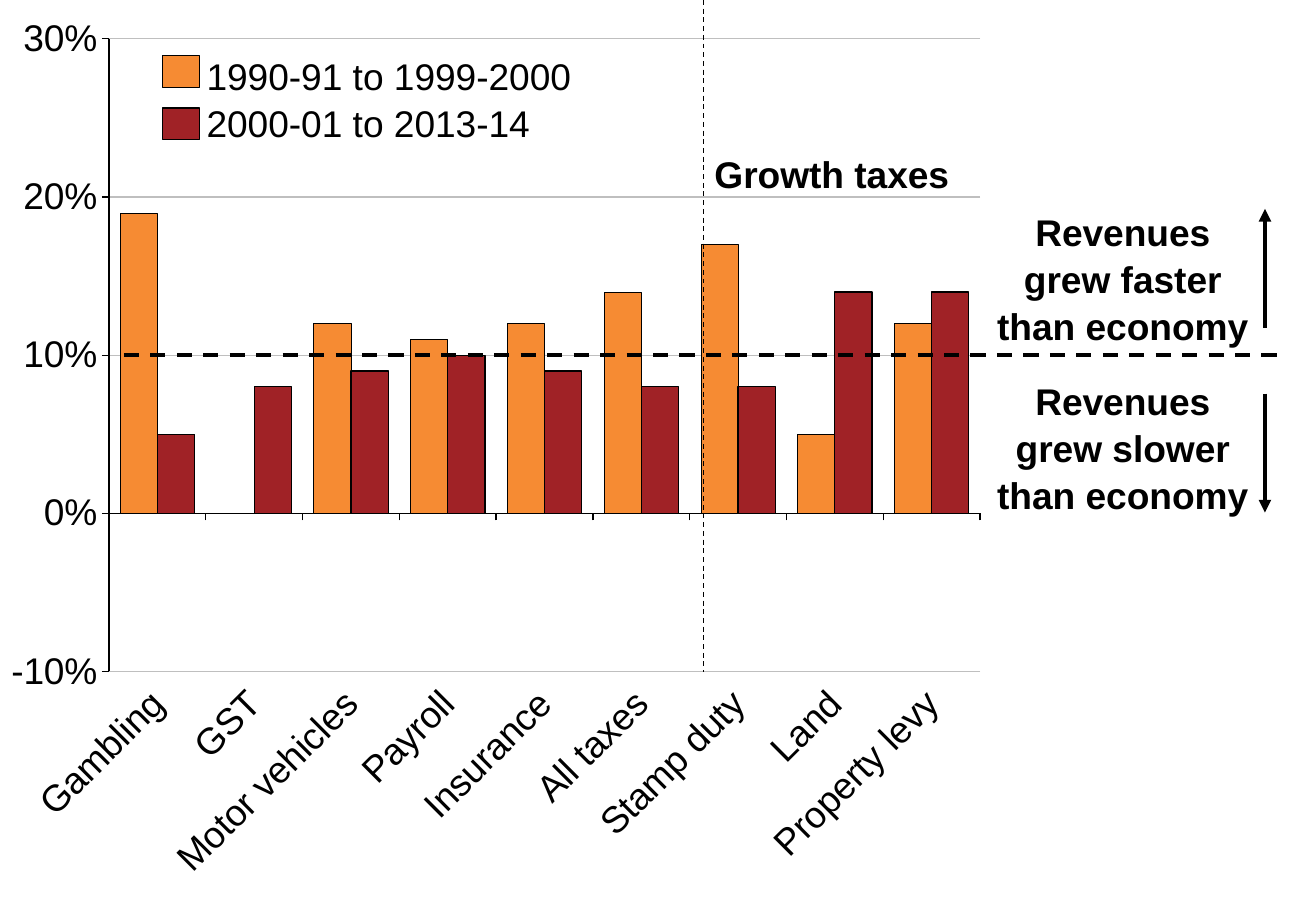
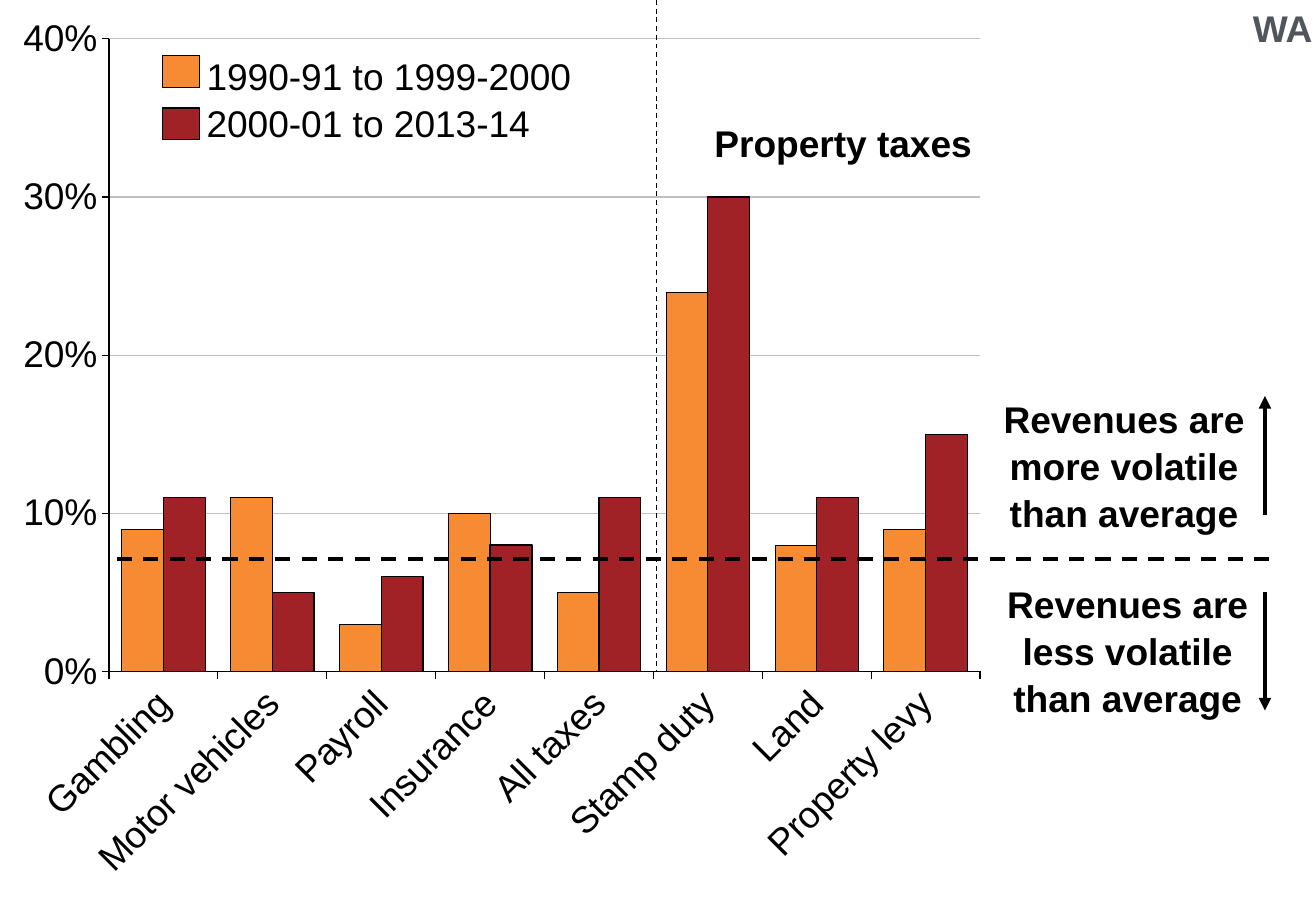
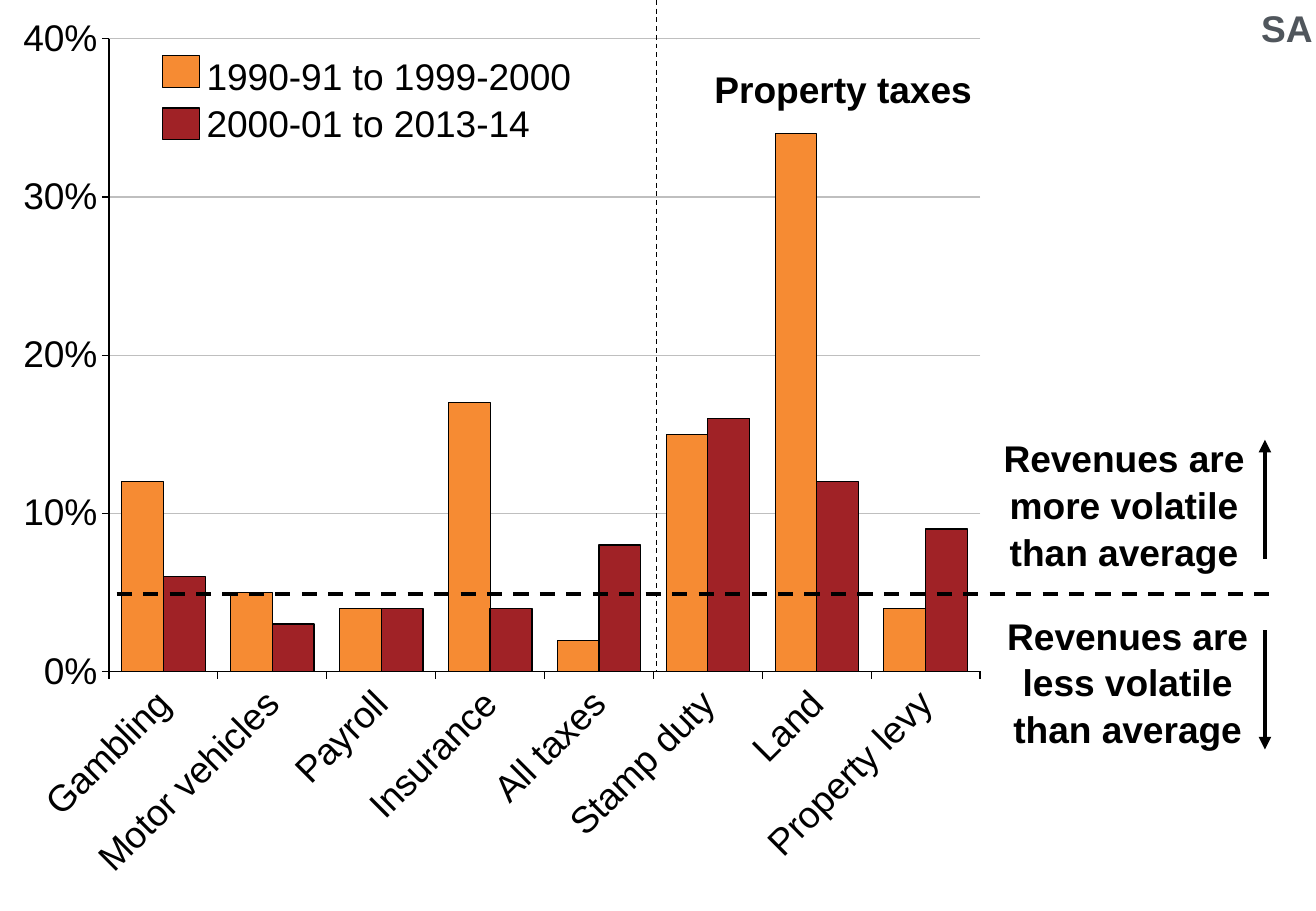
from dataclasses import dataclass

from lxml import etree
from pptx import Presentation
from pptx.chart.data import CategoryChartData
from pptx.dml.color import RGBColor
from pptx.enum.chart import XL_CHART_TYPE as ChartType
from pptx.enum.chart import XL_TICK_LABEL_POSITION as LabelPosition
from pptx.enum.chart import XL_TICK_MARK as TickMark
from pptx.enum.dml import MSO_LINE as Dash
from pptx.enum.shapes import MSO_CONNECTOR as Connector
from pptx.enum.shapes import MSO_SHAPE as Shape
from pptx.enum.text import MSO_AUTO_SIZE as AutoSize
from pptx.enum.text import PP_ALIGN as Align
from pptx.oxml.ns import qn
from pptx.util import Emu, Pt

EMU_PER_PX = 9144  # 100 px to the inch
SLIDE_SIZE = (1083, 750)
CHART_BOX = (3, 0, 1083, 741)
PLOT_LAYOUT = {"x": 0.08, "y": 0.04318, "w": 0.662, "h": 0.703}
PLOT_TOP, PLOT_HEIGHT = 32, 521
ARROW_X, ARROW_LENGTH = 1041, 98
NOTE_SIZE = (232, 121)

FONT, TEXT_SIZE = "Arial", 22
BLACK, GRID, STATE_GREY = "000000", "BFBFBF", "50565C"
ORANGE, RED = "F68B33", "A02226"
PERIODS = ["1990-91 to 1999-2000", "2000-01 to 2013-14"]
SERIES_STYLES = [(ORANGE, 0.25), (RED, 0.75)]  # fill, outline width

TAXES = ["Gambling", "Motor vehicles", "Payroll", "Insurance", "All taxes",
         "Stamp duty", "Land", "Property levy"]
TAXES_WITH_GST = TAXES[:1] + ["GST"] + TAXES[1:]


@dataclass
class Note:
    text: str
    left: int
    top: int
    arrow_start: int


@dataclass
class TaxSlide:
    categories: list
    values: list
    axis_range: tuple
    average: float
    average_left: int
    divider_x: int
    group: str
    group_top: int
    above: Note
    below: Note
    state: str = ""


MORE = "Revenues are more volatile than average"
LESS = "Revenues are less volatile than average"

TAX_SLIDES = [
    TaxSlide(
        TAXES_WITH_GST,
        [[0.19, None, 0.12, 0.11, 0.12, 0.14, 0.17, 0.05, 0.12],
         [0.05, 0.08, 0.09, 0.1, 0.09, 0.08, 0.08, 0.14, 0.14]],
        (-0.1, 0.3), 0.1, 102, 579, "Growth taxes", 123,
        Note("Revenues grew faster than economy", 808, 166, 270),
        Note("Revenues grew slower than economy", 808, 305, 324)),
    TaxSlide(
        TAXES,
        [[0.09, 0.11, 0.03, 0.1, 0.05, 0.24, 0.08, 0.09],
         [0.11, 0.05, 0.06, 0.08, 0.11, 0.3, 0.11, 0.15]],
        (0, 0.4), 0.0715, 96, 540, "Property taxes", 97,
        Note(MORE, 809, 320, 424), Note(LESS, 812, 472, 487), "WA"),
    TaxSlide(
        TAXES,
        [[0.12, 0.05, 0.04, 0.17, 0.02, 0.15, 0.34, 0.04],
         [0.06, 0.03, 0.04, 0.04, 0.08, 0.16, 0.12, 0.09]],
        (0, 0.4), 0.049, 96, 540, "Property taxes", 53,
        Note(MORE, 809, 352, 460), Note(LESS, 812, 498, 519), "SA"),
]


def px(*lengths):
    return [Emu(length * EMU_PER_PX) for length in lengths]


def color(hex_string):
    return RGBColor.from_string(hex_string)


def style_line(line, hex_string, width):
    line.color.rgb = color(hex_string)
    line.width = Pt(width)


def style_font(font, size=TEXT_SIZE, bold=False, hex_string=BLACK):
    font.name = FONT
    font.size = Pt(size)
    font.bold = bold
    font.color.rgb = color(hex_string)


def add_text(slide, box, lines, bold=True, align=Align.LEFT, inset=True,
             hex_string=BLACK):
    frame = slide.shapes.add_textbox(*px(*box)).text_frame
    frame.word_wrap = True
    frame.auto_size = AutoSize.SHAPE_TO_FIT_TEXT
    if not inset:
        frame.margin_left = frame.margin_right = 0
        frame.margin_top = frame.margin_bottom = 0
    frame.text = "\n".join(lines)
    for paragraph in frame.paragraphs:
        paragraph.alignment = align
        paragraph.line_spacing = 1.05
        style_font(paragraph.font, bold=bold, hex_string=hex_string)


def add_line(slide, start, end, width, dashed=False, arrow=False):
    connector = slide.shapes.add_connector(
        Connector.STRAIGHT, *px(*start, *end))
    style_line(connector.line, BLACK, width)
    if dashed:
        connector.line.dash_style = Dash.DASH
    properties = connector._element.spPr
    if arrow:
        etree.SubElement(properties.find(qn("a:ln")), qn("a:tailEnd"),
                         type="triangle")
    etree.SubElement(properties, qn("a:effectLst"))


def set_plot_layout(chart):
    plot_area = chart._chartSpace.find(qn("c:chart")).find(qn("c:plotArea"))
    for old_layout in plot_area.findall(qn("c:layout")):
        plot_area.remove(old_layout)
    layout = etree.Element(qn("c:layout"))
    manual = etree.SubElement(layout, qn("c:manualLayout"))
    settings = {"layoutTarget": "inner", "xMode": "edge", "yMode": "edge",
                **PLOT_LAYOUT}
    for name, value in settings.items():
        etree.SubElement(manual, qn("c:" + name), val=str(value))
    plot_area.insert(0, layout)


def style_axes(chart, axis_range):
    category_axis, value_axis = chart.category_axis, chart.value_axis
    for axis in (category_axis, value_axis):
        axis.major_tick_mark = TickMark.OUTSIDE
        axis.minor_tick_mark = TickMark.NONE
        style_line(axis.format.line, BLACK, 0.75)
        style_font(axis.tick_labels.font)
    category_axis.has_major_gridlines = False
    category_axis.tick_label_position = LabelPosition.LOW
    label_body = category_axis._element.find(qn("c:txPr")).find(qn("a:bodyPr"))
    label_body.set("rot", "-2700000")
    label_body.set("vert", "horz")

    value_axis.minimum_scale, value_axis.maximum_scale = axis_range
    value_axis.major_unit = 0.1
    value_axis.has_major_gridlines = True
    style_line(value_axis.major_gridlines.format.line, GRID, 0.75)
    value_axis.tick_labels.number_format = "0%"
    value_axis.tick_labels.number_format_is_linked = False


def add_tax_chart(slide, categories, values, axis_range):
    data = CategoryChartData(number_format="0%")
    data.categories = categories
    for number, series_values in enumerate(values, 1):
        data.add_series(f"Series {number}", series_values)
    chart = slide.shapes.add_chart(
        ChartType.COLUMN_CLUSTERED, *px(*CHART_BOX), data).chart
    chart.has_title = chart.has_legend = False
    style_font(chart.font, size=18)
    style_axes(chart, axis_range)
    set_plot_layout(chart)

    plot = chart.plots[0]
    plot.gap_width = 60
    plot.overlap = 0
    plot.vary_by_categories = False
    for series, (fill, line_width) in zip(plot.series, SERIES_STYLES):
        series.invert_if_negative = False
        series.format.fill.solid()
        series.format.fill.fore_color.rgb = color(fill)
        style_line(series.format.line, BLACK, line_width)


def add_note(slide, note, direction):
    add_text(slide, (note.left, note.top, *NOTE_SIZE), [note.text],
             align=Align.CENTER)
    arrow_end = note.arrow_start + direction * ARROW_LENGTH
    add_line(slide, (ARROW_X, note.arrow_start), (ARROW_X, arrow_end), 2.5,
             arrow=True)


def add_legend(slide):
    for row, (fill, _) in enumerate(SERIES_STYLES):
        swatch = slide.shapes.add_shape(
            Shape.RECTANGLE, *px(134, 46 + 43 * row, 30, 26))
        swatch.shadow.inherit = False
        swatch.fill.solid()
        swatch.fill.fore_color.rgb = color(fill)
        style_line(swatch.line, BLACK, 0.75)
    add_text(slide, (170, 42, 370, 74), PERIODS, bold=False, inset=False)


def add_tax_slide(presentation, content):
    slide = presentation.slides.add_slide(presentation.slide_layouts[6])
    add_tax_chart(slide, content.categories, content.values,
                  content.axis_range)

    # Average line across the plot and the notes
    low, high = content.axis_range
    average_y = round(
        PLOT_TOP + PLOT_HEIGHT * (high - content.average) / (high - low))
    add_line(slide, (content.average_left, average_y),
             (content.average_left + 957, average_y), 2.25, dashed=True)
    add_note(slide, content.above, -1)
    add_note(slide, content.below, 1)

    # Divider and heading of the right-hand group of taxes
    add_line(slide, (content.divider_x, 0),
             (content.divider_x, PLOT_TOP + PLOT_HEIGHT), 0.75, dashed=True)
    add_text(slide, (588, content.group_top, 223, 37), [content.group],
             inset=False)

    add_legend(slide)
    if content.state:
        add_text(slide, (946, -2, 144, 47), [content.state],
                 align=Align.RIGHT, hex_string=STATE_GREY)


def main():
    presentation = Presentation()
    presentation.slide_width, presentation.slide_height = px(*SLIDE_SIZE)
    for content in TAX_SLIDES:
        add_tax_slide(presentation, content)
    presentation.save("out.pptx")


if __name__ == "__main__":
    main()
